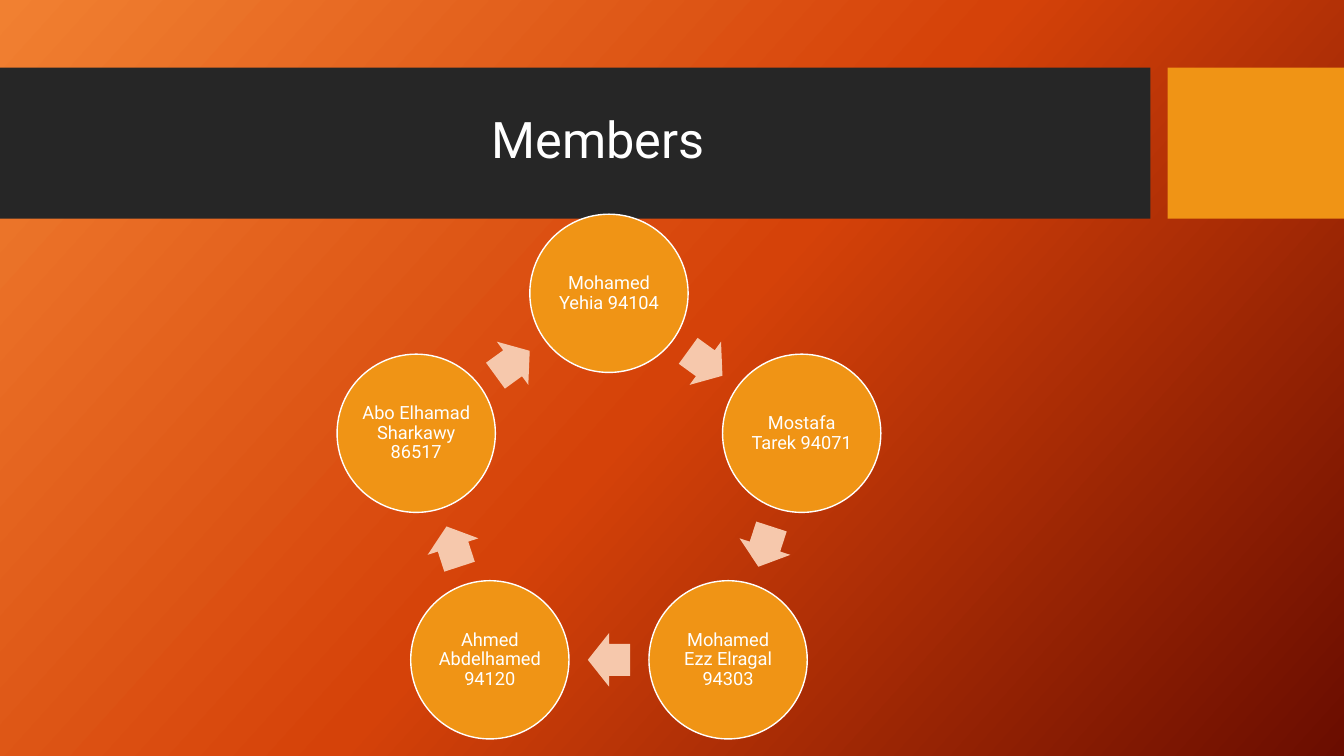
from copy import deepcopy
from dataclasses import dataclass
from math import cos, radians, sin

from pptx import Presentation
from pptx.dml.color import RGBColor
from pptx.enum.shapes import MSO_SHAPE
from pptx.enum.text import MSO_ANCHOR, PP_ALIGN
from pptx.oxml.ns import qn
from pptx.util import Inches, Pt

TITLE = "Members "
MEMBERS = [
    "Mohamed Yehia 94104",
    "Mostafa Tarek 94071",
    "Mohamed Ezz Elragal 94303",
    "Ahmed Abdelhamed 94120",
    "Abo Elhamad Sharkawy 86517",
]


@dataclass(frozen=True)
class Theme:
    font: str = "Roboto"
    title_size: float = 36
    member_size: float = 13
    text: str = "FFFFFF"
    band: str = "262626"
    accent: str = "F09415"
    arrow: str = "F6C8AC"
    background: tuple = ((0, "F18031"), (0.5, "D54209"), (1, "6A0D00"))
    background_angle: float = 42


THEME = Theme()
WIDTH, HEIGHT = 13.33, 7.5
BAND_TOP, BAND_HEIGHT = 0.67, HEIGHT / 5
BAND_WIDTH, ACCENT_WIDTH = 11.41, 1.75
TITLE_BOX = (0.74, 0.82, 10.51, 1.18)

RING_X, RING_Y, RING_RADIUS = 6.04, 4.92, 2.01
CIRCLE = 1.57
ARROW_WIDTH, ARROW_HEIGHT = 0.42, 0.53
STEP = 360 / len(MEMBERS)


def paint_background(page):
    fill = page.background.fill
    fill.gradient()
    fill.gradient_angle = 360 - THEME.background_angle
    stop_list = page.element.find(".//" + qn("a:gsLst"))
    stop_list.insert(1, deepcopy(stop_list[0]))
    for stop, (position, color) in zip(fill.gradient_stops, THEME.background):
        stop.position = position
        stop.color.rgb = RGBColor.from_string(color)


def add_filled(page, kind, left, top, width, height, color):
    shape = page.shapes.add_shape(
        kind, Inches(left), Inches(top), Inches(width), Inches(height))
    shape.shadow.inherit = False
    shape.fill.solid()
    shape.fill.fore_color.rgb = RGBColor.from_string(color)
    shape.line.fill.background()
    return shape


def write_centred(shape, text, size):
    frame = shape.text_frame
    frame.word_wrap = True
    frame.vertical_anchor = MSO_ANCHOR.MIDDLE
    para = frame.paragraphs[0]
    para.text = text
    para.alignment = PP_ALIGN.CENTER
    para.line_spacing = 0.9
    para.font.name = THEME.font
    para.font.size = Pt(size)
    para.font.color.rgb = RGBColor.from_string(THEME.text)


def ring_point(angle, radius):
    """Point on the ring, with the angle in degrees clockwise from the top."""
    return (RING_X + radius * sin(radians(angle)),
            RING_Y - radius * cos(radians(angle)))


def add_member(page, name, angle):
    x, y = ring_point(angle, RING_RADIUS)
    circle = add_filled(page, MSO_SHAPE.OVAL, x - CIRCLE / 2, y - CIRCLE / 2,
                        CIRCLE, CIRCLE, THEME.accent)
    circle.line.color.rgb = RGBColor.from_string(THEME.text)
    circle.line.width = Pt(1)
    frame = circle.text_frame
    frame.margin_left = frame.margin_right = Inches(0.02)
    frame.margin_top = frame.margin_bottom = Inches(0.02)
    write_centred(circle, name, THEME.member_size)


def add_ring_arrow(page, angle):
    """Arrow at the middle of a side of the polygon, along that side."""
    x, y = ring_point(angle, RING_RADIUS * cos(radians(STEP / 2)))
    arrow = add_filled(page, MSO_SHAPE.RIGHT_ARROW, x - ARROW_WIDTH / 2,
                       y - ARROW_HEIGHT / 2, ARROW_WIDTH, ARROW_HEIGHT,
                       THEME.arrow)
    arrow.adjustments[0] = 0.6
    arrow.adjustments[1] = 0.5
    arrow.rotation = angle


def main():
    deck = Presentation()
    deck.slide_width, deck.slide_height = Inches(WIDTH), Inches(HEIGHT)
    page = deck.slides.add_slide(deck.slide_layouts[6])
    paint_background(page)

    add_filled(page, MSO_SHAPE.RECTANGLE, 0, BAND_TOP,
               BAND_WIDTH, BAND_HEIGHT, THEME.band)
    add_filled(page, MSO_SHAPE.RECTANGLE, WIDTH - ACCENT_WIDTH, BAND_TOP,
               ACCENT_WIDTH, BAND_HEIGHT, THEME.accent)
    title = page.shapes.add_textbox(*map(Inches, TITLE_BOX))
    write_centred(title, TITLE, THEME.title_size)

    for index, name in enumerate(MEMBERS):
        add_member(page, name, index * STEP)
        add_ring_arrow(page, (index + 0.5) * STEP)

    deck.save("out.pptx")


if __name__ == "__main__":
    main()
